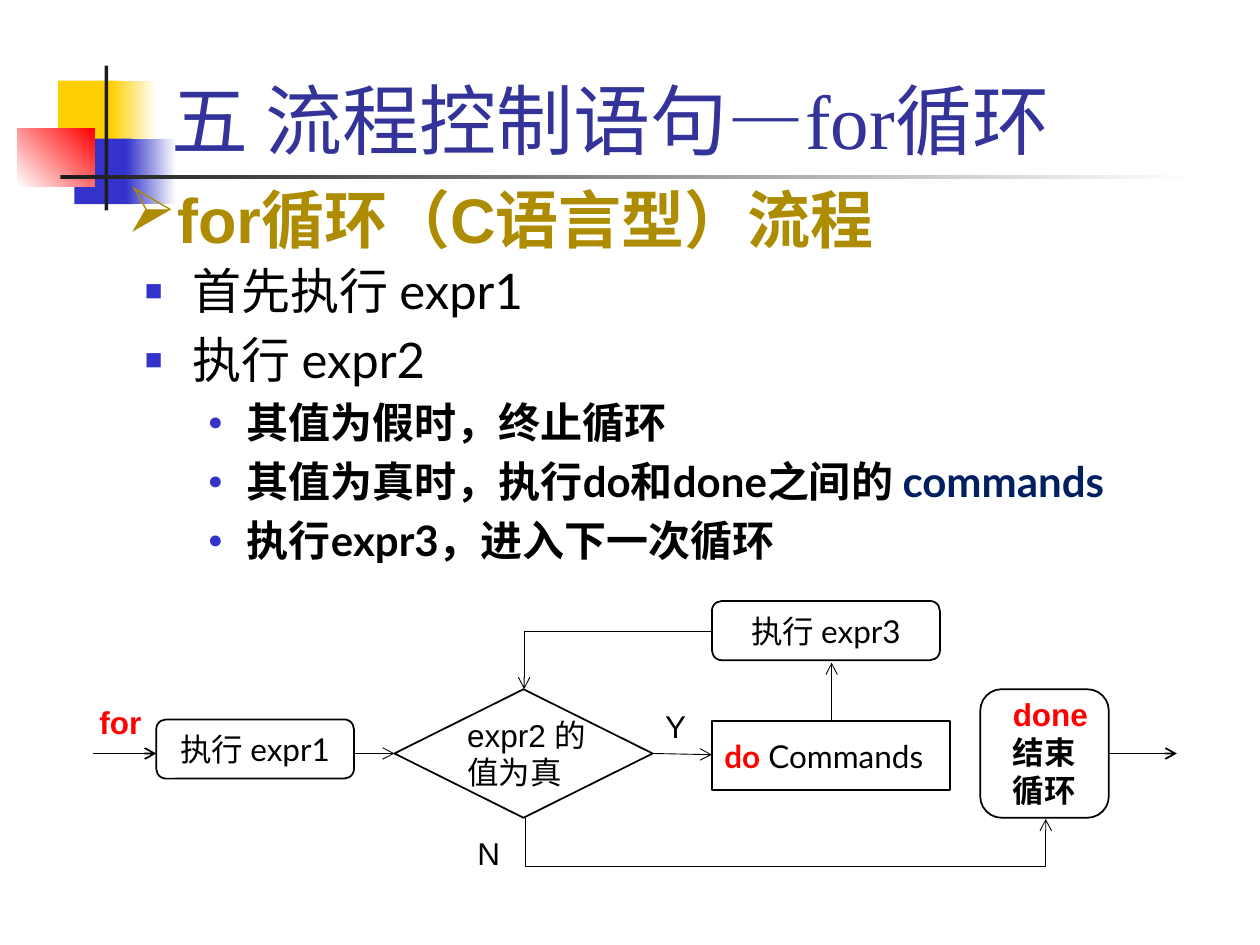
from pptx import Presentation
from pptx.dml.color import RGBColor
from pptx.enum.shapes import MSO_CONNECTOR, MSO_SHAPE
from pptx.enum.text import MSO_ANCHOR, MSO_AUTO_SIZE, PP_ALIGN
from pptx.oxml.ns import qn
from pptx.util import Inches, Pt
from lxml.etree import SubElement

COLORS = {"black": "000000", "white": "FFFFFF", "yellow": "FFCF01", "blue": "3333CC",
          "red": "FF0000", "ink": "1C1C1C", "title": "333399", "gold": "AD8C01",
          "navy": "002060"}

# place, colours (one is solid, two make a gradient), gradient angle
DECORATION = [
    ((0.46, 0.64, 0.48, 0.52), ["yellow"], 0),
    ((0.88, 0.64, 0.36, 0.52), ["yellow", "white"], 0),
    ((0.59, 1.1, 0.46, 0.52), ["blue"], 0),
    ((1, 1.1, 0.4, 0.52), ["blue", "white"], 0),
    ((0.14, 1.02, 0.61, 0.46), ["white", "red"], 45),
    ((0.83, 0.52, 0.03, 1.15), ["ink"], 0),
    ((0.48, 1.39, 9, 0.03), ["ink", "white"], 0),
]
TITLE = "五 流程控制语句—for循环"
HEADING = "for循环（C语言型）流程"
# level, runs of (text, colour)
STEPS = [
    (0, [("首先执行 expr1", "black")]),
    (0, [("执行 expr2", "black")]),
    (1, [("其值为假时，终止循环", "black")]),
    (1, [("其值为真时，执行do和done之间的 ", "black"), ("commands", "navy")]),
    (1, [("执行expr3，进入下一次循环", "black")]),
]
# level: bullet, text indent, hanging indent, size, bold
LEVELS = {0: ("■", 0.38, 0.38, 28, False), 1: ("●", 0.81, 0.31, 24, True)}

# shape, place, alignment, runs of (text, colour, bold)
NODES = [
    (MSO_SHAPE.DIAMOND, (3.13, 5.47, 2.05, 1.02), PP_ALIGN.LEFT, []),
    (MSO_SHAPE.ROUNDED_RECTANGLE, (5.65, 4.77, 1.81, 0.47), PP_ALIGN.CENTER,
     [("执行 expr3", "black", False)]),
    (MSO_SHAPE.ROUNDED_RECTANGLE, (1.24, 5.71, 1.57, 0.47), PP_ALIGN.CENTER,
     [("执行 expr1", "black", False)]),
    (MSO_SHAPE.ROUNDED_RECTANGLE, (7.78, 5.47, 1.02, 1.02), PP_ALIGN.LEFT, []),
    (MSO_SHAPE.RECTANGLE, (5.65, 5.72, 1.89, 0.55), PP_ALIGN.LEFT,
     [("do", "red", True), (" Commands", "black", False)]),
]
LABELS = [
    ((3.61, 5.63, 1.26, 0.71), [("expr2 的值为真", "black", False)]),
    ((7.94, 5.47, 0.94, 1.01), [("done", "red", True), ("结束循环", "black", True)]),
    ((5.18, 5.56, 0.39, 0.4), [("Y", "black", False)]),
    ((3.69, 6.57, 0.39, 0.4), [("N", "black", False)]),
    ((0.69, 5.53, 0.55, 0.4), [("for", "red", True)]),
]
# start, end, line width
ARROWS = [
    ((0.74, 5.98), (1.24, 5.98), 1),
    ((8.8, 5.98), (9.34, 5.98), 1),
    ((2.81, 5.98), (3.13, 5.98), 0.5),
    ((5.18, 5.98), (5.65, 5.99), 0.5),
    ((6.6, 5.72), (6.6, 5.26), 0.5),
]


def color(name):
    return RGBColor.from_string(COLORS[name])


def place(shape, box):
    shape.left, shape.top, shape.width, shape.height = map(Inches, box)


def add_span(para, text, size, font, color_name, bold=False):
    span = para.add_run()
    span.text = text
    span.font.size = Pt(size)
    span.font.name = font
    span.font.bold = bold
    span.font.color.rgb = color(color_name)


def set_bullet(para, char, indent, hanging, color_name, percent):
    props = para._p.get_or_add_pPr()
    props.set("marL", str(Inches(indent)))
    props.set("indent", str(-Inches(hanging)))
    tint = SubElement(props, qn("a:buClr"))
    SubElement(tint, qn("a:srgbClr")).set("val", COLORS[color_name])
    SubElement(props, qn("a:buSzPct")).set("val", str(percent * 1000))
    SubElement(props, qn("a:buChar")).set("char", char)


def add_shape(page, kind, box):
    shape = page.shapes.add_shape(kind, *map(Inches, box))
    shape.shadow.inherit = False
    return shape


def add_text_box(page, box):
    text_box = page.shapes.add_textbox(*map(Inches, box))
    text_box.text_frame.word_wrap = True
    return text_box.text_frame.paragraphs[0]


def add_arrow(page, start, end, width, kind=MSO_CONNECTOR.STRAIGHT):
    arrow = page.shapes.add_connector(kind, *map(Inches, start + end))
    arrow.line.color.rgb = color("black")
    arrow.line.width = Pt(width)
    SubElement(arrow.line._get_or_add_ln(), qn("a:tailEnd")).set("type", "arrow")
    SubElement(arrow._element.spPr, qn("a:effectLst"))
    return arrow


def add_decoration(page):
    for box, names, angle in DECORATION:
        block = add_shape(page, MSO_SHAPE.RECTANGLE, box)
        block.line.fill.background()
        if len(names) == 1:
            block.fill.solid()
            block.fill.fore_color.rgb = color(names[0])
            continue
        block.fill.gradient()
        block.fill.gradient_angle = angle
        for stop, name, position in zip(block.fill.gradient_stops, names, (0, 1)):
            stop.color.rgb = color(name)
            stop.position = position


def fill_placeholders(page):
    title, body = page.placeholders
    for holder in (title, body):
        page.shapes._spTree.append(holder._element)  # in front of the decoration
    place(title, (1.26, 0.21, 8.52, 1.15))
    title.text_frame.vertical_anchor = MSO_ANCHOR.BOTTOM
    title.text_frame.auto_size = MSO_AUTO_SIZE.NONE
    para = title.text_frame.paragraphs[0]
    para.alignment = PP_ALIGN.LEFT
    add_span(para, TITLE, 44, "Times New Roman", "title")

    place(body, (1.05, 2.02, 8.5, 4.5))
    frame = body.text_frame
    frame.auto_size = MSO_AUTO_SIZE.NONE
    for index, (level, spans) in enumerate(STEPS):
        para = frame.add_paragraph() if index else frame.paragraphs[0]
        para.level = level
        char, indent, hanging, size, bold = LEVELS[level]
        set_bullet(para, char, indent, hanging, "blue", 60)
        for text, name in spans:
            add_span(para, text, size, "Lato", name, bold)


def add_flowchart(page):
    for kind, box, alignment, spans in NODES:
        node = add_shape(page, kind, box)
        node.fill.solid()
        node.fill.fore_color.rgb = color("white")
        node.line.color.rgb = color("black")
        node.line.width = Pt(1)
        node.text_frame.vertical_anchor = MSO_ANCHOR.MIDDLE
        para = node.text_frame.paragraphs[0]
        para.alignment = alignment
        for text, name, bold in spans:
            add_span(para, text, 18, "Lato", name, bold)
    for box, spans in LABELS:
        para = add_text_box(page, box)
        for text, name, bold in spans:
            add_span(para, text, 18, "Arial", name, bold)
    for start, end, width in ARROWS:
        add_arrow(page, start, end, width)

    back = add_arrow(page, (5.65, 5.01), (4.16, 5.47), 0.5, MSO_CONNECTOR.ELBOW)
    back._element.spPr.find(qn("a:prstGeom")).set("prst", "bentConnector2")

    # A quarter turn makes this elbow leave downwards; its bend lies 0.39 inch below.
    leave = add_arrow(page, (6.24, 4.43), (6.23, 8.56), 0.5, MSO_CONNECTOR.ELBOW)
    leave._element.spPr.find(qn("a:xfrm")).set("rot", str(270 * 60000))
    guides = leave._element.spPr.find(qn("a:prstGeom")).get_or_add_avLst()
    guide = SubElement(guides, qn("a:gd"))
    guide.set("name", "adj1")
    guide.set("fmla", "val 3900000")


def main():
    deck = Presentation()
    deck.slide_width, deck.slide_height = Inches(10), Inches(7.5)
    page = deck.slides.add_slide(deck.slide_layouts[1])
    add_decoration(page)
    fill_placeholders(page)
    add_flowchart(page)
    heading = add_text_box(page, (0.91, 1.38, 6.9, 0.71))
    set_bullet(heading, "➢", 0.31, 0.31, "gold", 100)
    add_span(heading, HEADING, 36, "Arial", "gold", True)
    deck.save("out.pptx")


if __name__ == "__main__":
    main()
